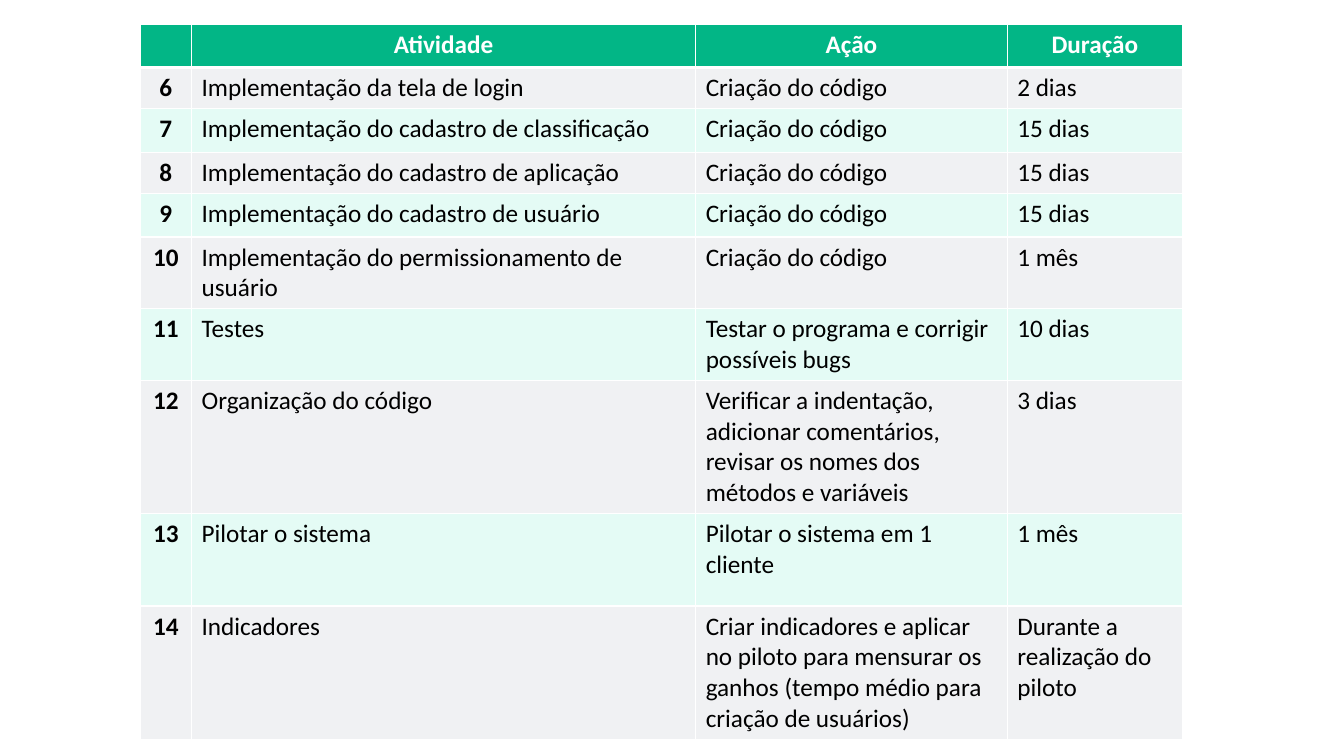
from dataclasses import dataclass

from lxml import etree
from pptx import Presentation
from pptx.dml.color import RGBColor
from pptx.enum.text import PP_ALIGN
from pptx.oxml.ns import qn
from pptx.util import Emu, Pt

CENTER, LEFT = PP_ALIGN.CENTER, PP_ALIGN.LEFT
EMU_PER_PX = 9144  # 100 px to the inch
FONT = "Calibri"
COLORS = {
    "header": "02B686",
    "odd": "F0F1F3",
    "even": "E4FBF5",
    "border": "FFFFFF",
    "header_text": "FFFFFF",
    "text": "000000",
}
THIN, THICK = 1, 3  # border widths in points


@dataclass
class Activity:
    number: str
    name: str
    action: str
    duration: str
    height: int


@dataclass
class CellStyle:
    fill: str
    color: str
    bold: bool
    align: PP_ALIGN
    top: int = THIN
    bottom: int = THIN


CODING = "Criação do código"
COLUMN_WIDTHS = [51, 500, 309, 174]
ROWS = [
    Activity("", "Atividade", "Ação", "Duração", 43),
    Activity("6", "Implementação da tela de login", CODING, "2 dias", 38),
    Activity("7", "Implementação do cadastro de classificação", CODING, "15 dias", 44),
    Activity("8", "Implementação do cadastro de aplicação", CODING, "15 dias", 38),
    Activity("9", "Implementação do cadastro de usuário", CODING, "15 dias", 43),
    Activity("10", "Implementação do permissionamento de usuário", CODING, "1 mês", 69),
    Activity("11", "Testes", "Testar o programa e corrigir possíveis bugs", "10 dias", 68),
    Activity("12", "Organização do código",
             "Verificar a indentação, adicionar comentários, "
             "revisar os nomes dos métodos e variáveis", "3 dias", 124),
    Activity("13", "Pilotar o sistema", "Pilotar o sistema em 1 cliente", "1 mês", 92),
    Activity("14", "Indicadores",
             "Criar indicadores e aplicar no piloto para mensurar os ganhos "
             "(tempo médio para criação de usuários)",
             "Durante a realização do piloto", 92),
]


def px(length: int) -> Emu:
    return Emu(length * EMU_PER_PX)


def style_for(row: int, column: int) -> CellStyle:
    if row == 0:
        return CellStyle("header", "header_text", True, CENTER, bottom=THICK)
    is_number = column == 0
    return CellStyle("odd" if row % 2 else "even", "text", is_number,
                     CENTER if is_number else LEFT, top=THICK if row == 1 else THIN)


def add_borders(cell, style: CellStyle) -> None:
    properties = cell._tc.get_or_add_tcPr()
    widths = {"a:lnL": THIN, "a:lnR": THIN, "a:lnT": style.top, "a:lnB": style.bottom}
    for tag, width in widths.items():
        line = etree.SubElement(properties, qn(tag), w=str(Pt(width)))
        fill = etree.SubElement(line, qn("a:solidFill"))
        etree.SubElement(fill, qn("a:srgbClr"), val=COLORS["border"])


def fill_cell(cell, text: str, style: CellStyle) -> None:
    add_borders(cell, style)
    cell.fill.solid()
    cell.fill.fore_color.rgb = RGBColor.from_string(COLORS[style.fill])
    cell.text = text
    para = cell.text_frame.paragraphs[0]
    para.alignment = style.align
    para.font.name = FONT
    para.font.size = Pt(18)
    para.font.bold = style.bold
    para.font.color.rgb = RGBColor.from_string(COLORS[style.color])


def add_schedule(page) -> None:
    frame = page.shapes.add_table(
        len(ROWS), len(COLUMN_WIDTHS), px(139), px(24),
        px(sum(COLUMN_WIDTHS)), px(sum(row.height for row in ROWS)))
    table = frame.table
    table.first_row = False
    table.horz_banding = False
    for column, width in zip(table.columns, COLUMN_WIDTHS):
        column.width = px(width)
    for r, activity in enumerate(ROWS):
        table.rows[r].height = px(activity.height)
        texts = (activity.number, activity.name, activity.action, activity.duration)
        for c, text in enumerate(texts):
            fill_cell(table.cell(r, c), text, style_for(r, c))


def main() -> None:
    deck = Presentation()
    deck.slide_width, deck.slide_height = px(1333), px(750)
    page = deck.slides.add_slide(deck.slide_layouts[6])
    # Activity schedule
    add_schedule(page)
    deck.save("out.pptx")


if __name__ == "__main__":
    main()
